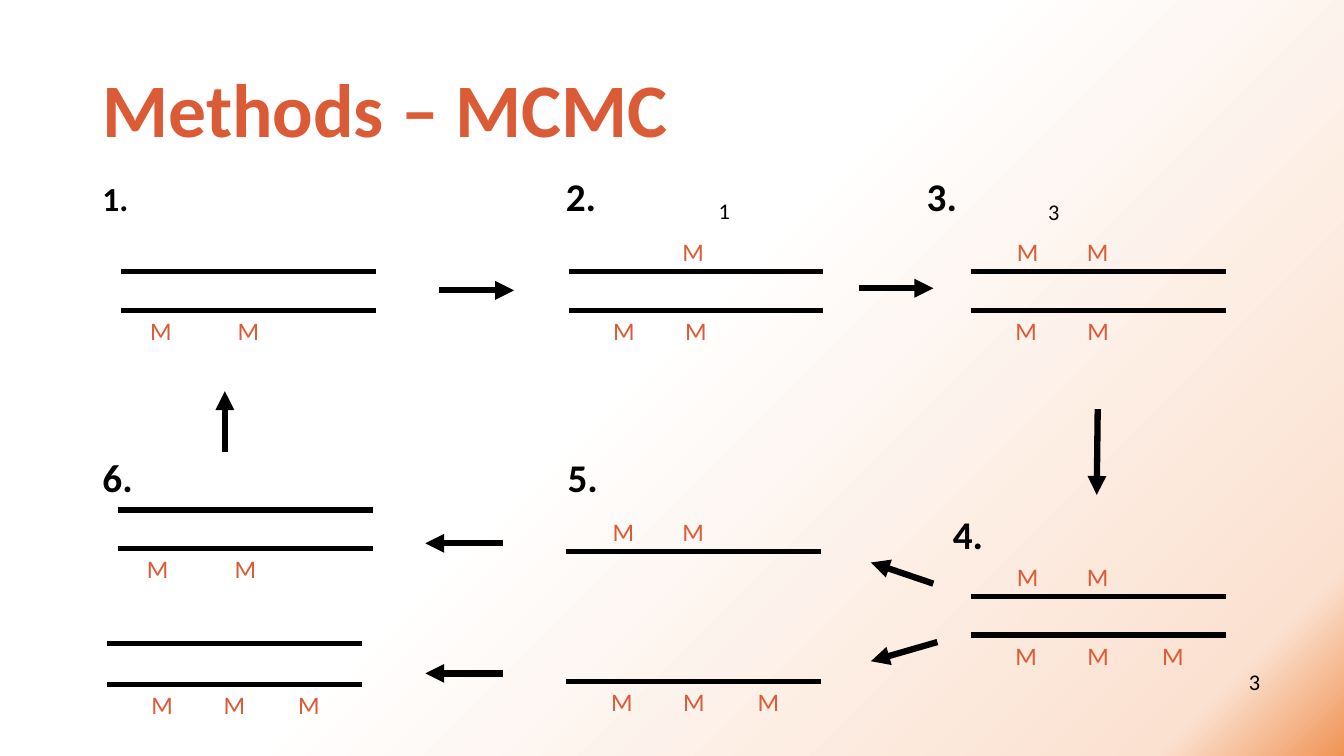
from lxml import etree
from pptx import Presentation
from pptx.dml.color import RGBColor
from pptx.enum import shapes, text
from pptx.oxml import ns
from pptx.util import Pt

TITLE = "Methods – MCMC"
LISTED_STAGES = [("1.", "first_stage", 0, 0), ("6.", "stage", 0, 171.5), ("4.", "stage", 607.5, 10.5)]
PLACED_STAGES = [("2.", 397.1, 123.1), ("3.", 654.9, 123.1), ("5.", 398.4, 323.8)]
OUTER_MARKS = [13.7, 76.3]
PAIR_MARKS = [24.8, 76.3]
TRIPLE_MARKS = [*PAIR_MARKS, 129.6]
UPPER_MARKS = [25.9, 75.8]
STRANDS = [
    (86.4, 193.7, [], []),
    (86.4, 221.8, [], OUTER_MARKS),
    (406.1, 193.7, [74.2], []),
    (406.1, 221.8, [], PAIR_MARKS),
    (693.4, 193.7, UPPER_MARKS, []),
    (693.4, 221.8, [], PAIR_MARKS),
    (693.4, 426.2, UPPER_MARKS, []),
    (693.4, 453.6, [], TRIPLE_MARKS),
    (404.6, 393.8, UPPER_MARKS, []),
    (404.6, 486.7, [], TRIPLE_MARKS),
    (84.2, 364.3, [], []),
    (84.2, 391.7, [], OUTER_MARKS),
    (76.3, 459.4, [], []),
    (76.3, 488.9, [], TRIPLE_MARKS),
]
ARROWS = [
    (313.9, 207.4, 367.2, 207.4),
    (613.4, 205.9, 666.7, 205.9),
    (784.1, 292.3, 783.4, 353.5),
    (666.7, 416.9, 622.1, 401.8),
    (669.6, 458.6, 622.1, 472.3),
    (359.3, 388.1, 303.8, 388.1),
    (359.3, 481, 303.8, 481),
    (160.6, 322.6, 160.6, 279.4),
]
COUNTS = [("1", 506.2, 137.5), ("3", 741.6, 138.2), ("3", 884.9, 473.8)]

THEME = dict(
    font="Calibri", accent="DB5B36", ink="000000",
    title=54, first_stage=24, stage=28, mark=18, count=16, strand=3.75, arrow=4.5,
    backdrop=[(34, "FFFFFF", 100), (47, "FFFFFF", 21), (91, "FBE1D0", 100), (100, "F09456", 100)],
)
STRAND_LENGTH = 182
MARK_LIFT = 28.5

deck = Presentation()
deck.slide_width, deck.slide_height = Pt(960), Pt(540)
page = deck.slides.add_slide(deck.slide_layouts[1])


def apply(target, **values):
    for name, value in values.items():
        setattr(target, name, value)


def child(parent, tag, **values):
    return etree.SubElement(parent, ns.qn(tag), {key: str(value) for key, value in values.items()})


def place(box, left, top, width, height):
    apply(box, left=Pt(left), top=Pt(top), width=Pt(width), height=Pt(height))


def add_span(para, words, size, color, bold=False):
    span = para.add_run()
    span.text = words
    apply(span.font, name=THEME["font"], size=Pt(THEME[size]), bold=bold)
    span.font.color.rgb = RGBColor.from_string(THEME[color])


def add_label(words, left, top, width, height, size, color, wrap=False, bold=False, spacing=1.0):
    box = page.shapes.add_textbox(Pt(left), Pt(top), Pt(width), Pt(height))
    apply(box.text_frame, word_wrap=wrap, auto_size=text.MSO_AUTO_SIZE.SHAPE_TO_FIT_TEXT)
    para = box.text_frame.paragraphs[0]
    para.line_spacing = spacing
    add_span(para, words, size, color, bold)


def add_line(start_x, start_y, end_x, end_y, weight, arrow=False):
    line = page.shapes.add_connector(
        shapes.MSO_CONNECTOR.STRAIGHT, Pt(start_x), Pt(start_y), Pt(end_x), Pt(end_y))
    line.line.width = Pt(weight)
    line.line.color.rgb = RGBColor.from_string(THEME["ink"])
    properties = line._element.spPr
    if arrow:
        child(properties.find(ns.qn("a:ln")), "a:tailEnd", type="triangle")
    child(properties, "a:effectLst")


def paint_backdrop():
    page.background.fill.gradient()
    gradient = page._element.find(".//" + ns.qn("a:gradFill"))
    for part in list(gradient):
        gradient.remove(part)
    stops = child(gradient, "a:gsLst")
    for position, color, opacity in THEME["backdrop"]:
        stop = child(stops, "a:gs", pos=position * 1000)
        tone = child(stop, "a:srgbClr", val=color)
        if opacity < 100:
            child(tone, "a:alpha", val=opacity * 1000)
    spread = child(gradient, "a:path", path="circle")
    child(spread, "a:fillToRect", r=100000, b=100000)


def write_title():
    box = page.shapes.title
    place(box, 66, 28.8, 828, 104.4)
    apply(box.text_frame, vertical_anchor=text.MSO_ANCHOR.MIDDLE,
          auto_size=text.MSO_AUTO_SIZE.NONE, word_wrap=True)
    para = box.text_frame.paragraphs[0]
    apply(para, alignment=text.PP_ALIGN.LEFT, line_spacing=0.9)
    add_span(para, TITLE, "title", "accent", True)


def write_stage_numbers():
    box = page.placeholders[1]
    place(box, 66, 126.4, 828, 360.3)
    frame = box.text_frame
    apply(frame, auto_size=text.MSO_AUTO_SIZE.NONE, word_wrap=True)
    for index, (words, size, indent, before) in enumerate(LISTED_STAGES):
        para = frame.add_paragraph() if index else frame.paragraphs[0]
        apply(para, line_spacing=0.9, space_before=Pt(before), alignment=text.PP_ALIGN.LEFT)
        layout = para._p.get_or_add_pPr()
        layout.set("marL", str(Pt(indent)))
        layout.set("indent", "0")
        child(layout, "a:buNone")
        add_span(para, words, size, "ink", True)
    for words, left, top in PLACED_STAGES:
        add_label(words, left, top, 36, 38, "stage", "ink", bold=True, spacing=0.9)


paint_backdrop()
write_title()
write_stage_numbers()
for left, top, above, below in STRANDS:
    add_line(left, top, left + STRAND_LENGTH, top, THEME["strand"])
    for offsets, mark_top in ((above, top - MARK_LIFT), (below, top)):
        for offset in offsets:
            add_label("M", left + offset, mark_top, 28.8, 51.1, "mark", "accent", wrap=True)
for ends in ARROWS:
    add_line(*ends, THEME["arrow"], arrow=True)
for words, left, top in COUNTS:
    add_label(words, left, top, 23, 26.6, "count", "ink")

deck.save("out.pptx")
